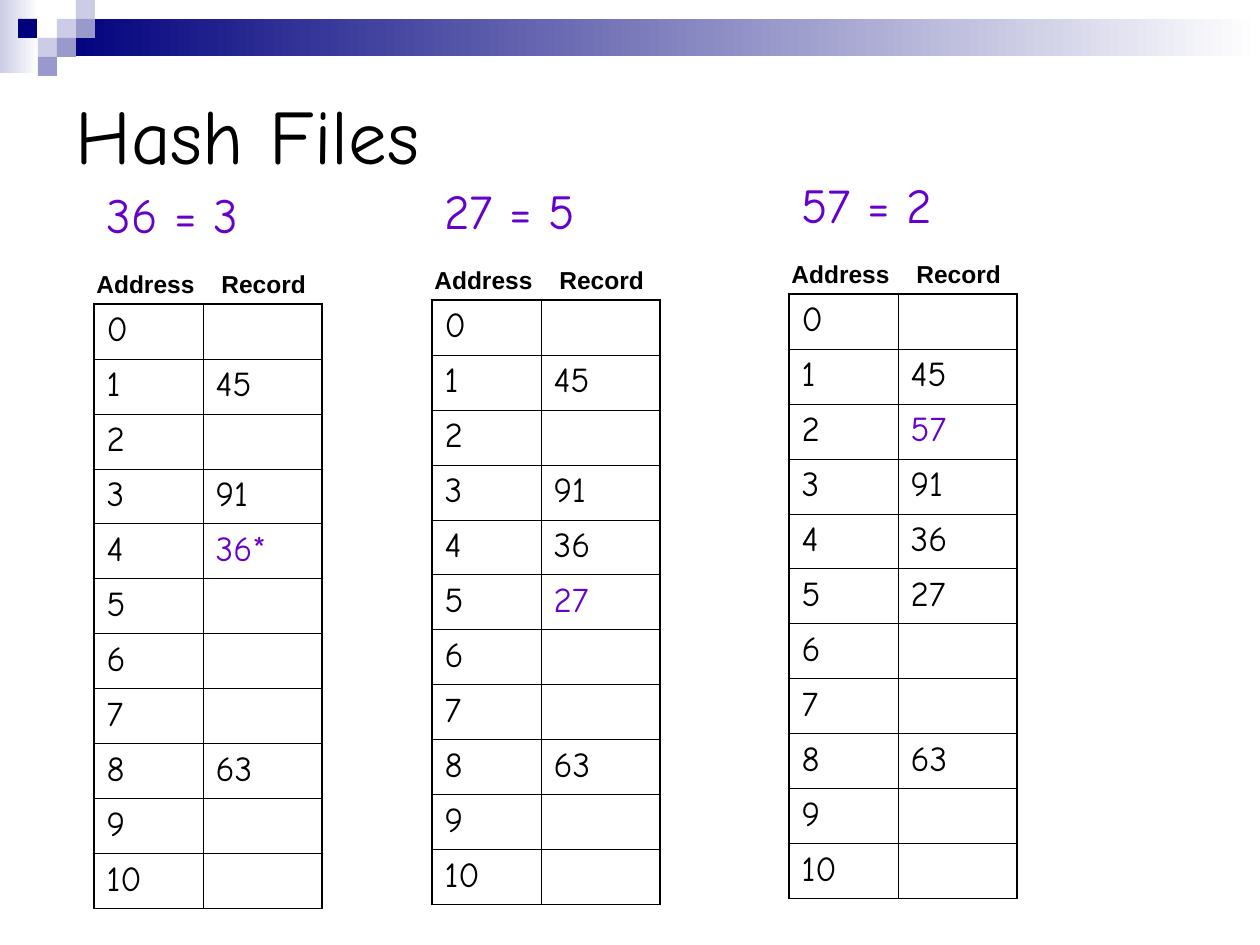
from lxml import etree
from pptx import Presentation
from pptx.dml.color import RGBColor
from pptx.enum.shapes import MSO_SHAPE
from pptx.enum.text import MSO_ANCHOR
from pptx.oxml.ns import qn
from pptx.util import Pt

RECTANGLE = MSO_SHAPE.RECTANGLE
TOP, MIDDLE = MSO_ANCHOR.TOP, MSO_ANCHOR.MIDDLE

COLORS = {
    "navy": "00007D", "lilac": "9999CC", "pale": "CCCCE6",
    "white": "FFFFFF", "black": "000000", "purple": "6600CC",
}
FORMATS = {
    "title": {"size": Pt(44), "name": "Comic Neue", "color": "black"},
    "equation": {"size": Pt(28), "name": "Comic Neue", "color": "purple"},
    "header": {"size": Pt(14), "name": "Arial", "bold": True, "color": "black"},
    "cell": {"size": Pt(20), "name": "Comic Neue", "color": "black"},
    "new": {"size": Pt(20), "name": "Comic Neue", "color": "purple"},
}

TITLE = "Hash Files"
HEADER = "Address\tRecord"
BUCKETS = 11
STARTING = {1: "45", 3: "91", 8: "63"}
STEPS = [
    {"at": (94, 304), "equation": "36 = 3", "new": 4, "added": {4: "36*"}},
    {"at": (432, 300), "equation": "27 = 5", "new": 5, "added": {4: "36", 5: "27"}},
    {"at": (789, 294), "equation": "57 = 2", "new": 2,
     "added": {2: "57", 4: "36", 5: "27"}},
]
GRADIENTS = [((0, 0, 39, 73), "pale"), ((57, 19, 1203, 37), "navy")]
SQUARE = 19
SQUARES = [
    (3, 0, "pale"), (1, 2, "pale"), (3, 1, "lilac"), (2, 1, "pale"),
    (1, 3, "lilac"), (2, 2, "lilac"), (0, 1, "navy"),
]
COLUMNS = (109, 119)
ROW = 55
THICK, THIN = 1.08, 0.45
SCALE = 914400 / 126


def px(*lengths):
    return [round(length * SCALE) for length in lengths]


def rgb(name):
    return RGBColor.from_string(COLORS[name])


def style(font, kind):
    for key, value in FORMATS[kind].items():
        if key == "color":
            font.color.rgb = rgb(value)
        else:
            setattr(font, key, value)


def add_rectangle(page, area, color, fade=False):
    box = page.shapes.add_shape(RECTANGLE, *px(*area))
    box.shadow.inherit = False
    box.line.fill.background()
    if fade:
        box.fill.gradient()
        box.fill.gradient_angle = 0
        for stop, position, name in zip(box.fill.gradient_stops, (0, 1), (color, "white")):
            stop.position = position
            stop.color.rgb = rgb(name)
    else:
        box.fill.solid()
        box.fill.fore_color.rgb = rgb(color)


def add_text(page, area, text, kind, anchor=TOP):
    frame = page.shapes.add_textbox(*px(*area)).text_frame
    frame.word_wrap = True
    frame.vertical_anchor = anchor
    para = frame.paragraphs[0]
    span = para.add_run()
    span.text = text
    style(span.font, kind)
    return para


def add_tab_stop(para, position):
    tabs = etree.SubElement(para._p.get_or_add_pPr(), qn("a:tabLst"))
    etree.SubElement(tabs, qn("a:tab"), pos=str(px(position)[0]), algn="l")


def set_borders(cell, widths):
    properties = cell._tc.get_or_add_tcPr()
    for index, (side, width) in enumerate(zip("LRTB", widths)):
        line = etree.Element(qn(f"a:ln{side}"), w=str(Pt(width)))
        fill = etree.SubElement(line, qn("a:solidFill"))
        etree.SubElement(fill, qn("a:srgbClr"), val=COLORS["black"])
        properties.insert(index, line)


def add_hash_table(page, left, top, records, new):
    table = page.shapes.add_table(
        BUCKETS, len(COLUMNS), *px(left, top, sum(COLUMNS), ROW * BUCKETS)).table
    table.first_row = table.horz_banding = False
    for column, width in zip(table.columns, px(*COLUMNS)):
        column.width = width
    for address, row in enumerate(table.rows):
        row.height = px(ROW)[0]
        texts = (str(address), records.get(address, ""))
        for side, (cell, text) in enumerate(zip(row.cells, texts)):
            cell.fill.background()
            edges = (side == 0, side == 1, address == 0, address == BUCKETS - 1)
            set_borders(cell, [THICK if edge else THIN for edge in edges])
            if text:
                span = cell.text_frame.paragraphs[0].add_run()
                span.text = text
                style(span.font, "new" if side and address == new else "cell")


def main():
    deck = Presentation()
    deck.slide_width, deck.slide_height = px(1260, 945)
    page = deck.slides.add_slide(deck.slide_layouts[6])
    for area, color in GRADIENTS:
        add_rectangle(page, area, color, fade=True)
    for column, row, color in SQUARES:
        area = (SQUARE * column + (0 if column else 18) + (column == 0) * 0,
                SQUARE * row, SQUARE, SQUARE)
        area = (18 if column == 0 else SQUARE * (column + 1), *area[1:])
        add_rectangle(page, area, color)
    add_text(page, (63, 63, 1134, 141), TITLE, "title", MIDDLE)
    for step in STEPS:
        left, top = step["at"]
        equation = add_text(page, (left - 30, top - 119, 208, 69), step["equation"], "equation")
        equation.line_spacing = 0.9
        equation._p.get_or_add_pPr().set("marL", str(px(30)[0]))
        add_hash_table(page, left, top, {**STARTING, **step["added"]}, step["new"])
        header = add_text(page, (left - 10, top - 41, 238, 43), HEADER, "header")
        add_tab_stop(header, 125)
    deck.save("out.pptx")


if __name__ == "__main__":
    main()
